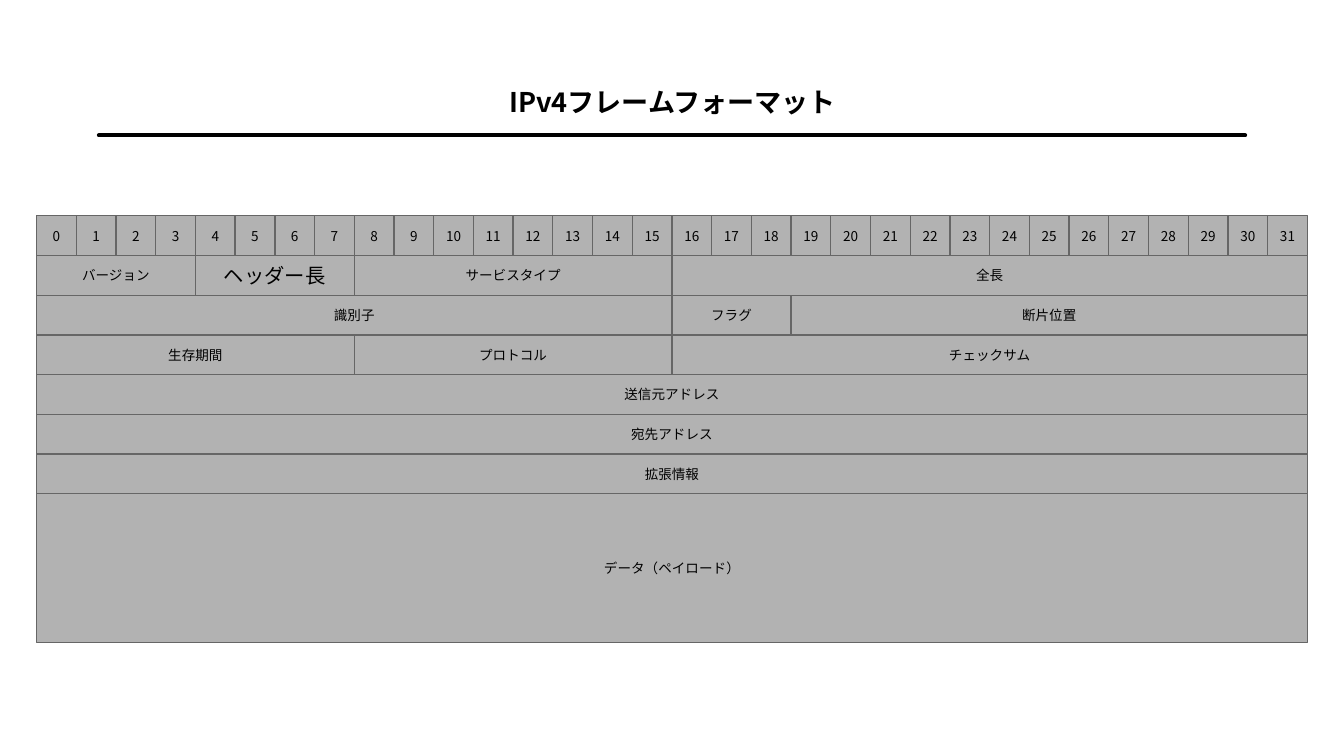
from dataclasses import dataclass

from lxml import etree
from pptx import Presentation
from pptx.dml.color import RGBColor
from pptx.enum.shapes import MSO_CONNECTOR, MSO_SHAPE
from pptx.enum.text import MSO_ANCHOR, PP_ALIGN
from pptx.oxml.ns import qn
from pptx.util import Inches, Pt

RECTANGLE = MSO_SHAPE.RECTANGLE
STRAIGHT = MSO_CONNECTOR.STRAIGHT
MIDDLE = MSO_ANCHOR.MIDDLE
BOTTOM = MSO_ANCHOR.BOTTOM
CENTER = PP_ALIGN.CENTER


@dataclass
class Theme:
    font: str = "Noto Sans CJK SC"
    ink: RGBColor = RGBColor(0x00, 0x00, 0x00)
    field_fill: RGBColor = RGBColor(0xB2, 0xB2, 0xB2)
    field_border: RGBColor = RGBColor(0x66, 0x66, 0x66)
    title_size: Pt = Pt(16)
    field_size: Pt = Pt(8)
    header_length_size: Pt = Pt(12)
    rule_width: Pt = Pt(2.3)


theme = Theme()


def write_label(frame, label, size, anchor, bold=False):
    frame.text = label
    frame.vertical_anchor = anchor
    paragraph = frame.paragraphs[0]
    paragraph.alignment = CENTER
    run = paragraph.runs[0]
    run.font.name = theme.font
    run.font.size = size
    run.font.bold = bold
    run.font.color.rgb = theme.ink
    east_asian = etree.SubElement(run.font._element, qn("a:ea"))
    east_asian.set("typeface", theme.font)


prs = Presentation()
prs.slide_width = Inches(11.02)
prs.slide_height = Inches(6.2)
slide = prs.slides.add_slide(prs.slide_layouts[6])

HEADER_LENGTH = "ヘッダー長"
frame_rows = [
    (1, [(str(bit), 1) for bit in range(32)]),
    (1, [("バージョン", 4), (HEADER_LENGTH, 4), ("サービスタイプ", 8), ("全長", 16)]),
    (1, [("識別子", 16), ("フラグ", 3), ("断片位置", 13)]),
    (1, [("生存期間", 8), ("プロトコル", 8), ("チェックサム", 16)]),
    (1, [("送信元アドレス", 32)]),
    (1, [("宛先アドレス", 32)]),
    (1, [("拡張情報", 32)]),
    (3.75, [("データ（ペイロード）", 32)]),
]

frame_left = Inches(0.3)
bit_width = Inches(10.42) / 32
row_height = bit_width
row_top = Inches(1.77)
for row_units, fields in frame_rows:
    first_bit = 0
    for label, bits in fields:
        field = slide.shapes.add_shape(
            RECTANGLE,
            round(frame_left + first_bit * bit_width),
            round(row_top),
            round(bits * bit_width),
            round(row_units * row_height),
        )
        field.shadow.inherit = False
        field.fill.solid()
        field.fill.fore_color.rgb = theme.field_fill
        field.line.color.rgb = theme.field_border
        field.line.width = Pt(0)
        field.text_frame.word_wrap = False
        size = theme.header_length_size if label == HEADER_LENGTH else theme.field_size
        write_label(field.text_frame, label, size, MIDDLE)
        first_bit += bits
    row_top += row_units * row_height

title = slide.shapes.add_textbox(Inches(3.56), Inches(0.28), Inches(3.91), Inches(0.74))
title.text_frame.word_wrap = True
write_label(title.text_frame, "IPv4フレームフォーマット", theme.title_size, BOTTOM, bold=True)

title_rule = slide.shapes.add_connector(
    STRAIGHT, Inches(0.81), Inches(1.11), Inches(10.21), Inches(1.11)
)
title_rule.line.color.rgb = theme.ink
title_rule.line.width = theme.rule_width
rule_properties = title_rule._element.spPr
rule_properties.find(qn("a:ln")).set("cap", "rnd")
etree.SubElement(rule_properties, qn("a:effectLst"))

prs.save("out.pptx")
